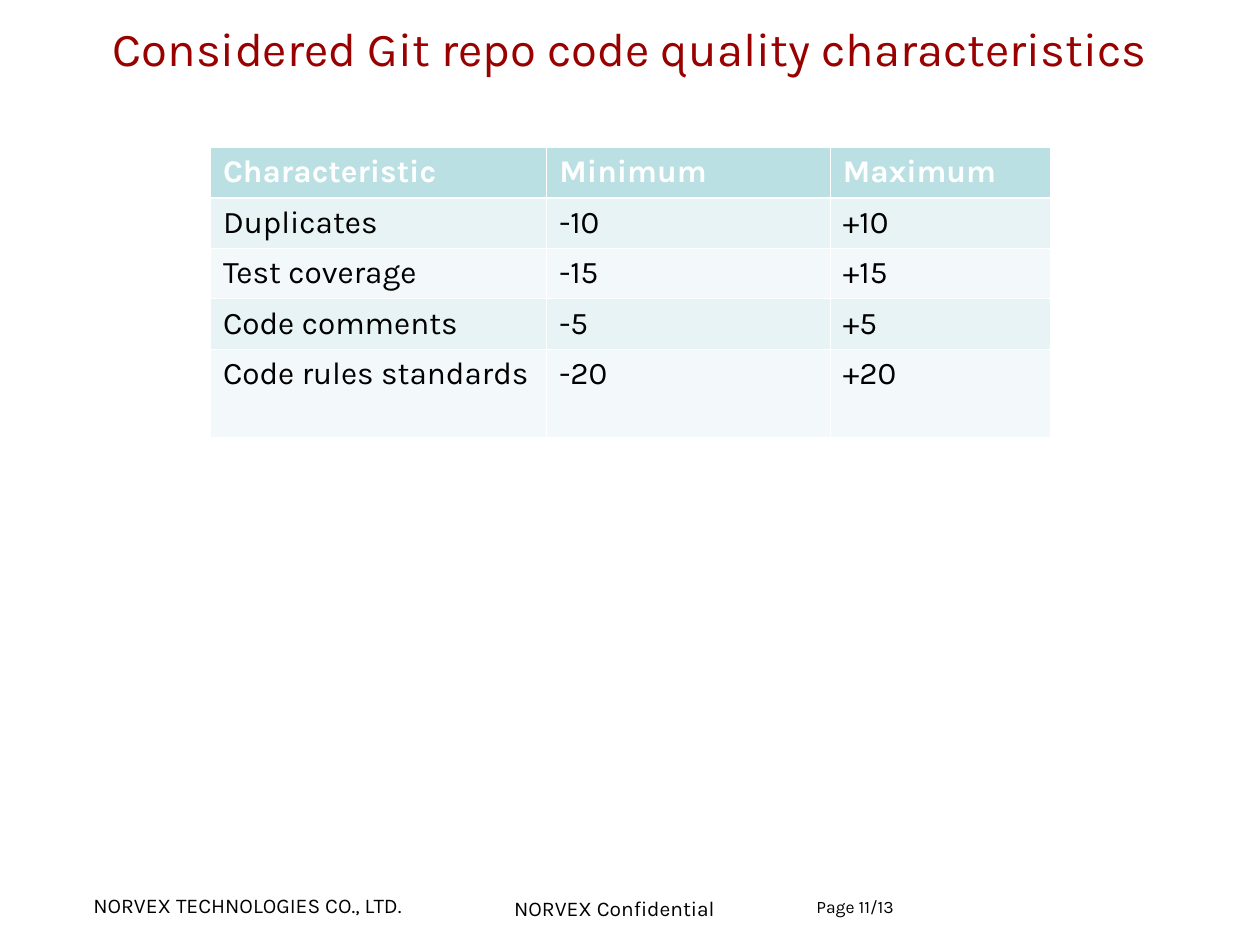
import pptx
import pptx.dml.color
import pptx.enum.text
import pptx.oxml
import pptx.oxml.ns
import pptx.util
from pptx.util import Inches

THEME = {
    "font": "Karla",
    "title": "990000", "text": "000000", "header_text": "FFFFFF",
    "header_fill": "BBE0E3", "bands": ("E7F3F4", "F3F9FA"), "border": "FFFFFF",
    "title_size": 27, "table_size": 18, "footer_size": 12, "page_size": 10,
    "thin_line": 0.45, "header_line": 1.47,
}

TITLE = "Considered Git repo code quality characteristics"
COMPANY = "NORVEX TECHNOLOGIES CO., LTD."
CONFIDENTIALITY = "NORVEX Confidential"
PAGE = "Page 11/13"

CHARACTERISTICS = [
    ("Characteristic", "Minimum", "Maximum"),
    ("Duplicates", "-10", "+10"),
    ("Test coverage", "-15", "+15"),
    ("Code comments", "-5", "+5"),
    ("Code rules standards", "-20", "+20"),
]
COLUMN_WIDTHS = (2.67, 2.25, 1.75)
ROW_HEIGHTS = (0.4, 0.4, 0.4, 0.4, 0.7)
TABLE_LEFT, TABLE_TOP = 1.67, 1.17


def rgb(color):
    return pptx.dml.color.RGBColor.from_string(color)


def write(frame, text, size, color, bold=False):
    frame.text = text
    font = frame.paragraphs[0].runs[0].font
    font.name = THEME["font"]
    font.size = pptx.util.Pt(size)
    font.bold = bold
    font.color.rgb = rgb(color)


def add_label(slide, box, text, size, color="text", wrap=True, margins=(0.09, 0.04)):
    """Add a text box; margins are (sides, top and bottom) in inches."""
    frame = slide.shapes.add_textbox(*map(Inches, box)).text_frame
    frame.word_wrap = wrap
    frame.margin_left = frame.margin_right = Inches(margins[0])
    frame.margin_top = frame.margin_bottom = Inches(margins[1])
    write(frame, text, THEME[size], THEME[color])
    return frame


def set_borders(cell, widths):
    """Draw cell borders; widths maps each side (L, R, T, B) to points."""
    properties = cell._tc.get_or_add_tcPr()
    for position, (side, width) in enumerate(widths.items()):
        line = pptx.oxml.parse_xml(
            f'<a:ln{side} {pptx.oxml.ns.nsdecls("a")} w="{pptx.util.Pt(width)}">'
            f'<a:solidFill><a:srgbClr val="{THEME["border"]}"/></a:solidFill>'
            f'</a:ln{side}>')
        properties.insert(position, line)


def add_characteristics(slide):
    table = slide.shapes.add_table(
        len(CHARACTERISTICS), len(COLUMN_WIDTHS), Inches(TABLE_LEFT), Inches(TABLE_TOP),
        Inches(sum(COLUMN_WIDTHS)), Inches(sum(ROW_HEIGHTS))).table
    for column, width in zip(table.columns, COLUMN_WIDTHS):
        column.width = Inches(width)
    for row, height in zip(table.rows, ROW_HEIGHTS):
        row.height = Inches(height)

    thin, thick = THEME["thin_line"], THEME["header_line"]
    for r, values in enumerate(CHARACTERISTICS):
        header = r == 0
        fill = THEME["header_fill"] if header else THEME["bands"][(r - 1) % 2]
        color = THEME["header_text"] if header else THEME["text"]
        borders = {"L": thin, "R": thin,
                   "T": thick if r == 1 else thin, "B": thick if header else thin}
        for c, value in enumerate(values):
            cell = table.cell(r, c)
            write(cell.text_frame, value, THEME["table_size"], color, bold=header)
            cell.fill.solid()
            cell.fill.fore_color.rgb = rgb(fill)
            set_borders(cell, borders)


def main():
    deck = pptx.Presentation()
    deck.slide_width, deck.slide_height = Inches(10), Inches(7.5)
    slide = deck.slides.add_slide(deck.slide_layouts[6])

    add_label(slide, (0.65, 7.04, 2.98, 0.29), COMPANY, "footer_size", wrap=False)
    add_label(slide, (3.99, 7.07, 2.23, 0.29), CONFIDENTIALITY, "footer_size")
    page = add_label(slide, (6.48, 7, 1.16, 0.5), PAGE, "page_size", margins=(0, 0))
    page.margin_top = Inches(0.14)
    page.paragraphs[0].line_spacing = 0.85

    title = add_label(slide, (0, 0, 10, 0.75), TITLE, "title_size", "title")
    title.vertical_anchor = pptx.enum.text.MSO_ANCHOR.MIDDLE
    title.paragraphs[0].alignment = pptx.enum.text.PP_ALIGN.CENTER

    add_characteristics(slide)
    deck.save("out.pptx")


if __name__ == "__main__":
    main()
